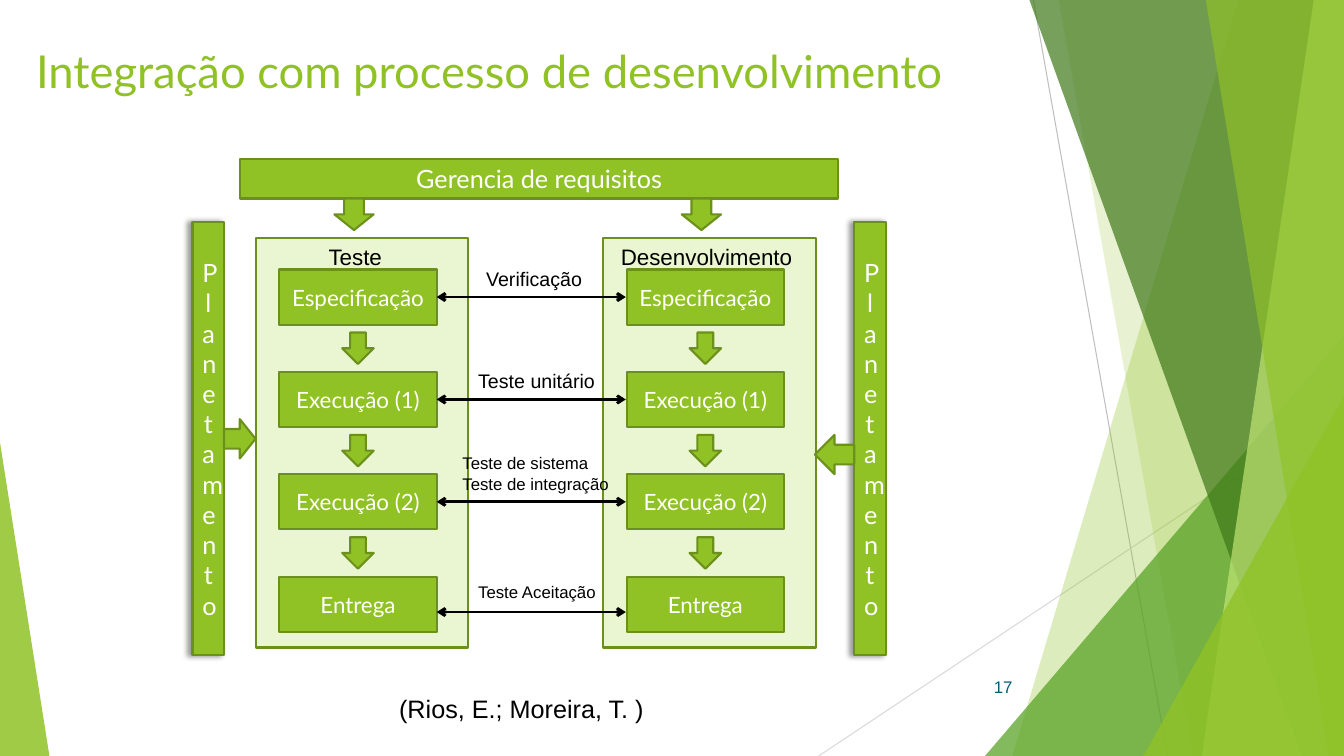
from dataclasses import dataclass

from lxml.etree import SubElement
from pptx import Presentation
from pptx.dml.color import RGBColor
from pptx.enum.shapes import MSO_CONNECTOR, MSO_SHAPE
from pptx.enum.text import MSO_ANCHOR, PP_ALIGN
from pptx.oxml.ns import qn
from pptx.util import Inches, Pt

GREEN, DARK_GREEN, PALE_GREEN = "90C226", "6B901C", "EAF6D1"
WHITE, BLACK, TEAL = "FFFFFF", "000000", "045C75"
STEPS = ["Especificação", "Execução (1)", "Execução (2)", "Entrega"]
STEP_PITCH, STEP_W, STEP_H = 13, 20, 7


@dataclass
class Grid:
    """A grid with its corner and cell size in inches."""
    left: float
    top: float
    cell: float

    def point(self, col, row):
        """Return the slide position of a grid point."""
        return Inches(self.left + col * self.cell), Inches(self.top + row * self.cell)

    def box(self, col, row, cols, rows):
        """Return left, top, width and height of a block of cells."""
        return *self.point(col, row), Inches(cols * self.cell), Inches(rows * self.cell)

    def inner(self, col, row):
        """Return the same grid moved to a new corner."""
        return Grid(self.left + col * self.cell, self.top + row * self.cell, self.cell)


def color(value):
    """Turn a hex string into a colour."""
    return RGBColor.from_string(value)


def paint(shape, fill, alpha=None, outline=None):
    """Set fill, transparency and outline of a shape."""
    shape.shadow.inherit = False
    shape.fill.solid()
    shape.fill.fore_color.rgb = color(fill)
    if alpha is not None:
        tint = shape.fill._xPr.find(qn("a:solidFill"))[0]
        SubElement(tint, qn("a:alpha"), val=str(alpha * 1000))
    if outline:
        shape.line.color.rgb = color(outline)
        shape.line.width = Pt(1.5)
    else:
        shape.line.fill.background()


def write(frame, text, size, font, ink, align=PP_ALIGN.LEFT, anchor=MSO_ANCHOR.TOP):
    """Fill a text frame with one formatted paragraph."""
    frame.text = text
    frame.word_wrap = True
    frame.vertical_anchor = anchor
    paragraph = frame.paragraphs[0]
    paragraph.alignment = align
    for run in paragraph.runs:
        run.font.size, run.font.name = Pt(size), font
        run.font.color.rgb = color(ink)


def add_label(slide, box, text, size, font="Arial", ink=BLACK, **layout):
    """Add a text box."""
    write(slide.shapes.add_textbox(*box).text_frame, text, size, font, ink, **layout)


def add_block(slide, box, text="", size=16, kind=MSO_SHAPE.RECTANGLE, fill=GREEN):
    """Add an outlined diagram shape with optional centred text."""
    block = slide.shapes.add_shape(kind, *box)
    paint(block, fill, outline=DARK_GREEN)
    if text:
        write(block.text_frame, text, size, "Lato", WHITE, PP_ALIGN.CENTER, MSO_ANCHOR.MIDDLE)
    return block


def add_line(slide, start, end, ink, width, arrows=False):
    """Add a straight line, with open arrowheads on request."""
    line = slide.shapes.add_connector(MSO_CONNECTOR.STRAIGHT, *start, *end)
    line.line.color.rgb = color(ink)
    line.line.width = Pt(width)
    if arrows:
        for end_tag in ("a:headEnd", "a:tailEnd"):
            SubElement(line.line._get_or_add_ln(), qn(end_tag), type="arrow")
    SubElement(line._element.spPr, qn("a:effectLst"))


def add_facets(slide, grid, right, bottom):
    """Draw the translucent facets along the slide's edges."""
    def band(top_left, top_right, bottom_left, fill, alpha):
        outline = slide.shapes.build_freeform(*grid.point(top_left, 0))
        corners = [(top_right, 0), (right, bottom), (bottom_left, bottom)]
        outline.add_line_segments([grid.point(*corner) for corner in corners])
        paint(outline.convert_to_shape(), fill, alpha)

    def wedge(left, top, width, apex, fill, alpha):
        box = grid.box(left, top, width, bottom - top)
        triangle = slide.shapes.add_shape(MSO_SHAPE.ISOSCELES_TRIANGLE, *box)
        triangle.adjustments[0] = apex
        paint(triangle, fill, alpha)

    add_line(slide, grid.point(10.25, 0), grid.point(11.58, bottom), "BFBFBF", 0.75)
    add_line(slide, grid.point(right, 4.03), grid.point(8.12, bottom), "D9D9D9", 0.75)
    band(12.28, right, 10.04, GREEN, 30)
    band(10.5, right, 11.83, GREEN, 20)
    wedge(9.77, 3.33, right - 9.77, 1, "54A021", 72)
    band(10.21, right, 12.91, "3F7819", 70)
    band(13.03, right, 11.92, "C0E474", 70)
    band(11.96, right, 13.18, GREEN, 65)
    wedge(11.34, 3.93, right - 11.34, 1, GREEN, 80)
    wedge(0, 4.39, 0.49, 0, GREEN, 85)


def add_process(slide, grid, name, name_col, name_cols):
    """Draw one process panel with its chain of steps."""
    add_block(slide, grid.box(0, 0, 27, 52), fill=PALE_GREEN)
    for index, step in enumerate(STEPS):
        row = 4 + index * STEP_PITCH
        add_block(slide, grid.box(3, row, STEP_W, STEP_H), step)
        if index < len(STEPS) - 1:
            add_block(slide, grid.box(11, row + STEP_H + 1, 4, 4), kind=MSO_SHAPE.DOWN_ARROW)
    add_block(slide, grid.box(10, -5, 5, 4), kind=MSO_SHAPE.DOWN_ARROW)
    add_label(slide, grid.box(name_col, 0, name_cols, 4.7), name, 16)


def add_links(slide, grid):
    """Draw the labelled double arrows between matching steps."""
    links = [
        ("Verificação", 14, 17.5, (5, 13, 17, 4.4)),
        ("Teste unitário", 14, 30.5, (4, 26, 18, 4.4)),
        ("Teste de sistema Teste de integração", 12, 43.5, (2, 36.7, 22, 6.4)),
        ("Teste Aceitação", 12, 57.5, (4, 53, 18, 3.8)),
    ]
    for text, size, row, box in links:
        add_line(slide, grid.point(0, row), grid.point(24, row), BLACK, 2, arrows=True)
        add_label(slide, grid.box(*box), text, size)


def add_planning(slide, grid, arrow_box, arrow):
    """Draw a planning column and the arrow to its process."""
    column = add_block(slide, grid.box(0, 0, 4, 55), "Planetamento", 18)
    effects = column._element.spPr.find(qn("a:effectLst"))
    shade = SubElement(effects, qn("a:outerShdw"), blurRad=str(Pt(4)), dist=str(Pt(3)),
                       dir=str(180 * 60000), algn="ctr", rotWithShape="0")
    SubElement(SubElement(shade, qn("a:srgbClr"), val=BLACK), qn("a:alpha"), val="40000")
    add_block(slide, grid.box(*arrow_box), kind=arrow)


def add_diagram(slide, grid):
    """Draw the requirements bar, both processes and their links."""
    add_block(slide, grid.box(6, 0, 76, 5), "Gerencia de requisitos", 18)
    add_process(slide, grid.inner(8, 10), "Teste", 8, 11)
    add_process(slide, grid.inner(52.1, 10), "Desenvolvimento", 1, 26)
    add_links(slide, grid.inner(31, 0))
    add_planning(slide, grid.inner(0, 8), (4, 25, 4, 5), MSO_SHAPE.RIGHT_ARROW)
    add_planning(slide, grid.inner(84, 8), (-5, 27, 5, 5), MSO_SHAPE.LEFT_ARROW)


def build():
    """Build and save the presentation."""
    deck = Presentation()
    width, height = 13.33, 7.5
    deck.slide_width, deck.slide_height = Inches(width), Inches(height)
    slide = deck.slides.add_slide(deck.slide_layouts[6])
    page = Grid(0, 0, 1)
    add_facets(slide, page, width, height)
    add_label(slide, page.box(0.26, 0.38, 9.5, 0.68),
              "Integração com processo de desenvolvimento", 32.4, "Lato", GREEN)
    add_label(slide, page.box(9.39, 6.61, 0.75, 0.4), "17", 12, ink=TEAL,
              align=PP_ALIGN.RIGHT, anchor=MSO_ANCHOR.MIDDLE)
    add_diagram(slide, Grid(1.91, 1.58, 10 / 128))
    add_label(slide, page.box(3.86, 6.83, 2.81, 0.4), "(Rios, E.; Moreira, T. )", 18)
    deck.save("out.pptx")


build()
